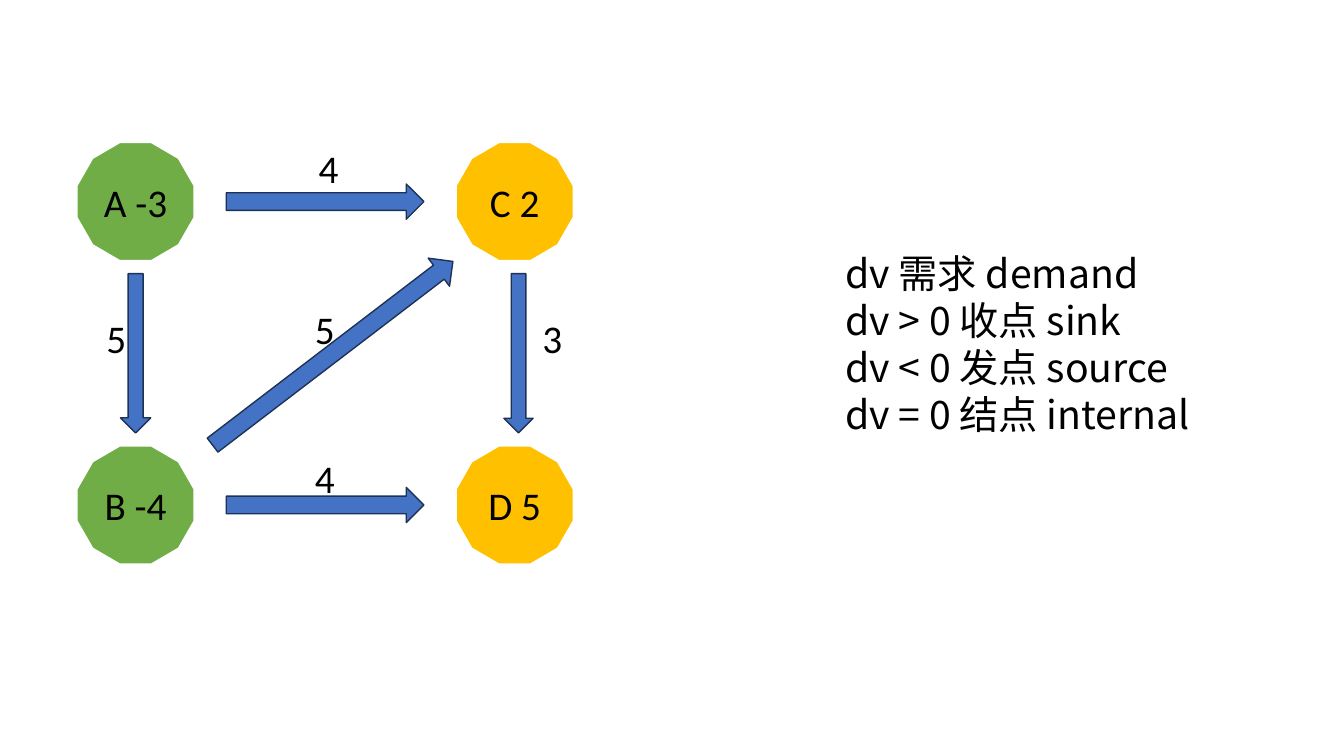
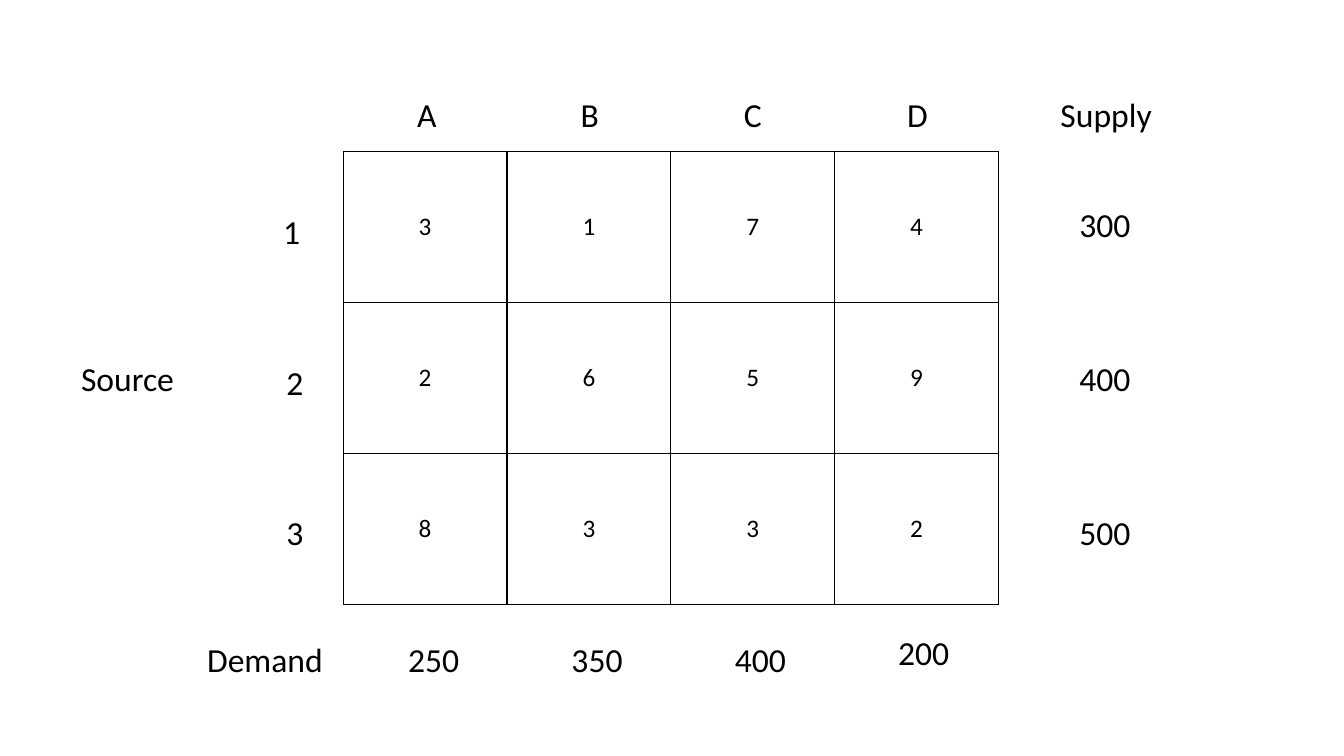
from functools import partial

from lxml.etree import SubElement
from pptx import Presentation
from pptx.dml.color import RGBColor
from pptx.enum.shapes import MSO_SHAPE as Shape
from pptx.enum.text import MSO_ANCHOR as Anchor, MSO_AUTO_SIZE as Fit, PP_ALIGN as Align
from pptx.oxml.ns import qn
from pptx.util import Inches, Pt

# Shared look
INK, WHITE = "000000", "FFFFFF"
GREEN, GOLD, BLUE, NAVY = "70AD47", "FFC000", "4472C4", "1E3256"
LATIN, HAN = "Calibri", "Noto Sans CJK SC"

# Grids: centre of cell (0, 0), then column and row pitch, in inches
GRAPH = (1.345, 2.0, 3.76, 3.01)
COSTS = (4.24, 2.22, 1.62, 1.53)


def color(code):
    return RGBColor.from_string(code)


def box(grid, col, row, wide, high):
    """Left, top, width and height of a box centred on a grid point."""
    left, top, across, down = grid
    x, y = left + across * col, top + down * row
    return [Inches(n) for n in (x - wide / 2, y - high / 2, wide, high)]


def style(item, form):
    for key, value in form.items():
        setattr(item, key, value)


def write(frame, lines, size, face=LATIN, align=Align.LEFT, **form):
    style(frame, form)
    for num, line in enumerate(lines):
        para = frame.add_paragraph() if num else frame.paragraphs[0]
        para.alignment = align
        run = para.add_run()
        run.text = line
        style(run.font, {"size": Pt(size), "name": face})
        run.font.color.rgb = color(INK)
        SubElement(run.font._element, qn("a:ea"), typeface=face)


def note(slide, grid, size, text, col, row, wide, high=0.5):
    """One-line label."""
    area = slide.shapes.add_textbox(*box(grid, col, row, wide, high))
    write(area.text_frame, [text], size, word_wrap=False,
          auto_size=Fit.SHAPE_TO_FIT_TEXT)


def solid(slide, kind, area, fill, edge, width):
    item = slide.shapes.add_shape(kind, *area)
    item.shadow.inherit = False
    item.fill.solid()
    item.fill.fore_color.rgb = color(fill)
    item.line.color.rgb = color(edge)
    item.line.width = Pt(width)
    return item


def node(slide, text, col, row, fill):
    area = box(GRAPH, col, row, 1.17, 1.18)
    item = solid(slide, Shape.DODECAGON, area, fill, WHITE, 1.5)
    write(item.text_frame, [text], 28, align=Align.CENTER,
          vertical_anchor=Anchor.MIDDLE, word_wrap=False)


def arrow(slide, col, row, long, thick, turn):
    area = box(GRAPH, col, row, long, thick)
    item = solid(slide, Shape.RIGHT_ARROW, area, BLUE, NAVY, 1)
    item.rotation = turn


def border(cell):
    """Thin black line on all four sides."""
    props = cell._tc.get_or_add_tcPr()
    for spot, side in enumerate("LRTB"):
        line = SubElement(props, qn(f"a:ln{side}"), w=str(Pt(1)))
        fill = SubElement(line, qn("a:solidFill"))
        SubElement(fill, qn("a:srgbClr"), val=INK)
        props.insert(spot, line)


def matrix(slide, rows):
    area = box(COSTS, 1.49, 1, 6.5, 4.49)
    table = slide.shapes.add_table(len(rows), len(rows[0]), *area).table
    style(table, {"first_row": False, "horz_banding": False})
    for r, row in enumerate(rows):
        for c, value in enumerate(row):
            cell = table.cell(r, c)
            cell.vertical_anchor = Anchor.MIDDLE
            cell.fill.background()
            border(cell)
            write(cell.text_frame, [str(value)], 18, align=Align.CENTER)


def network(slide):
    # Nodes: sources on the left, sinks on the right
    for text, col, row in (("A -3", 0, 0), ("B -4", 0, 1),
                           ("D 5", 1, 1), ("C 2", 1, 0)):
        node(slide, text, col, row, GOLD if col else GREEN)

    # Arrows
    for col, row, long, thick, turn in (
            (0.5, 1, 1.96, 0.35, 0), (0.5, 0, 1.96, 0.35, 0),
            (1.01, 0.5, 1.58, 0.29, 90), (0, 0.5, 1.58, 0.3, 90),
            (0.52, 0.5, 3, 0.35, 322.6)):
        arrow(slide, col, row, long, thick, turn)

    # Capacities
    for text, col, row in (("4", 0.51, -0.11), ("4", 0.5, 0.91),
                           ("5", -0.05, 0.45), ("5", 0.5, 0.42),
                           ("3", 1.1, 0.45)):
        note(slide, GRAPH, 28, text, col, row, 0.4, 0.57)

    # Legend
    area = slide.shapes.add_textbox(*box(GRAPH, 2.39, 0.47, 4.09, 1.99))
    lines = ["dv 需求 demand", "dv > 0 收点 sink",
             "dv < 0 发点 source", "dv = 0 结点 internal"]
    write(area.text_frame, lines, 28, HAN, word_wrap=True,
          auto_size=Fit.SHAPE_TO_FIT_TEXT)


def transport(slide):
    matrix(slide, [(3, 1, 7, 4), (2, 6, 5, 9), (8, 3, 3, 2)])
    put = partial(note, slide, COSTS, 24)

    # Columns: names above, demand below
    for col, (name, need) in enumerate(zip("ABCD", (250, 350, 400, 200))):
        put(name, col, -0.71, 0.4)
        put(str(need), col + 0.04, 2.78 if name == "D" else 2.82, 0.71)

    # Rows: names on the left, supply on the right
    spots = ((-0.83, 0.05), (-0.81, 1.03), (-0.81, 2))
    for row, (spot, stock) in enumerate(zip(spots, (300, 400, 500))):
        put(str(row + 1), *spot, 0.37)
        put(str(stock), 4.15, row, 0.71)

    # Headings
    put("Supply", 4.16, -0.71, 1.12)
    put("Demand", -0.99, 2.82, 1.36)
    put("Source", -1.83, 1, 1.14)


def main():
    deck = Presentation()
    style(deck, {"slide_width": Inches(13.33), "slide_height": Inches(7.5)})
    for draw in (network, transport):
        draw(deck.slides.add_slide(deck.slide_layouts[6]))
    deck.save("out.pptx")


if __name__ == "__main__":
    main()
